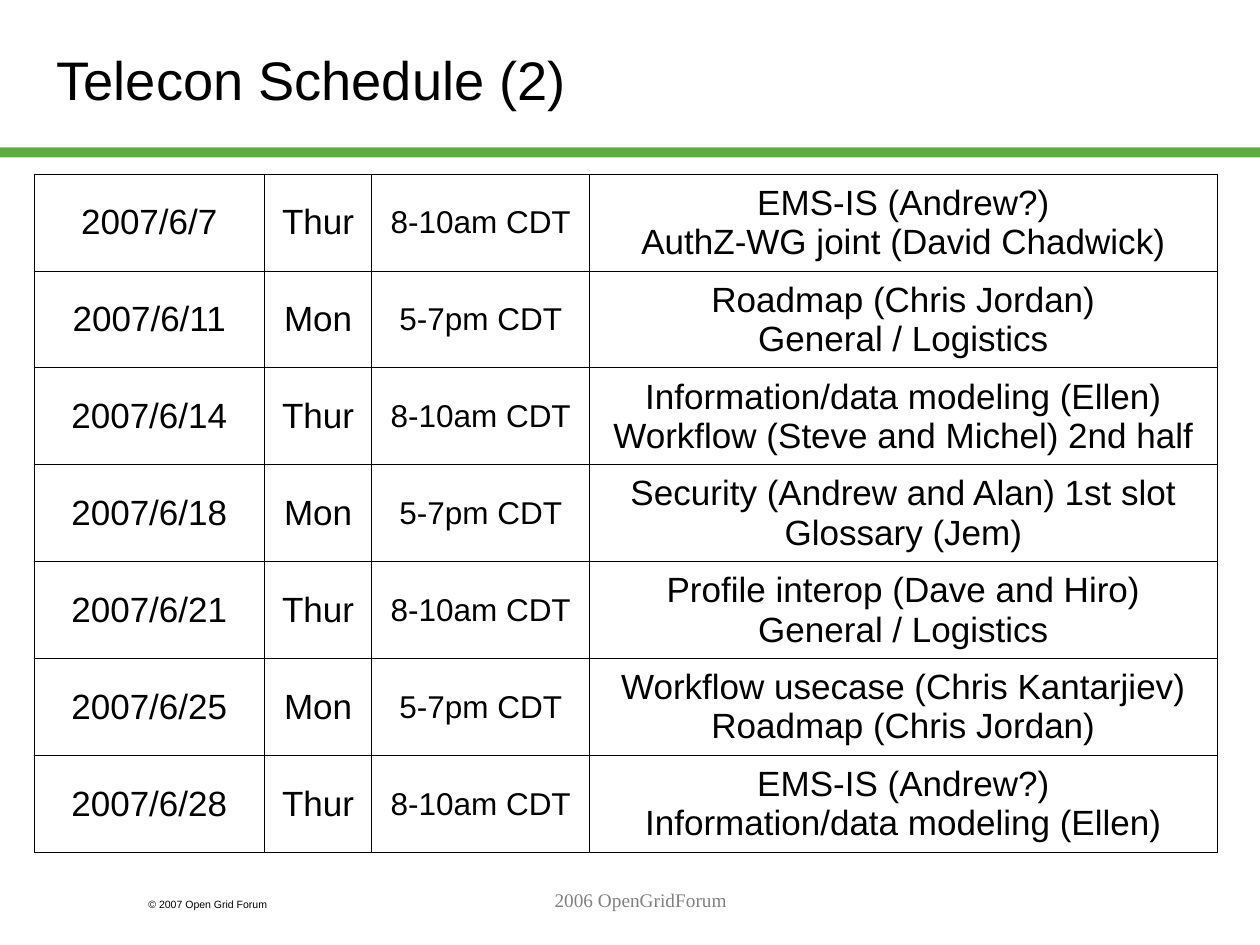
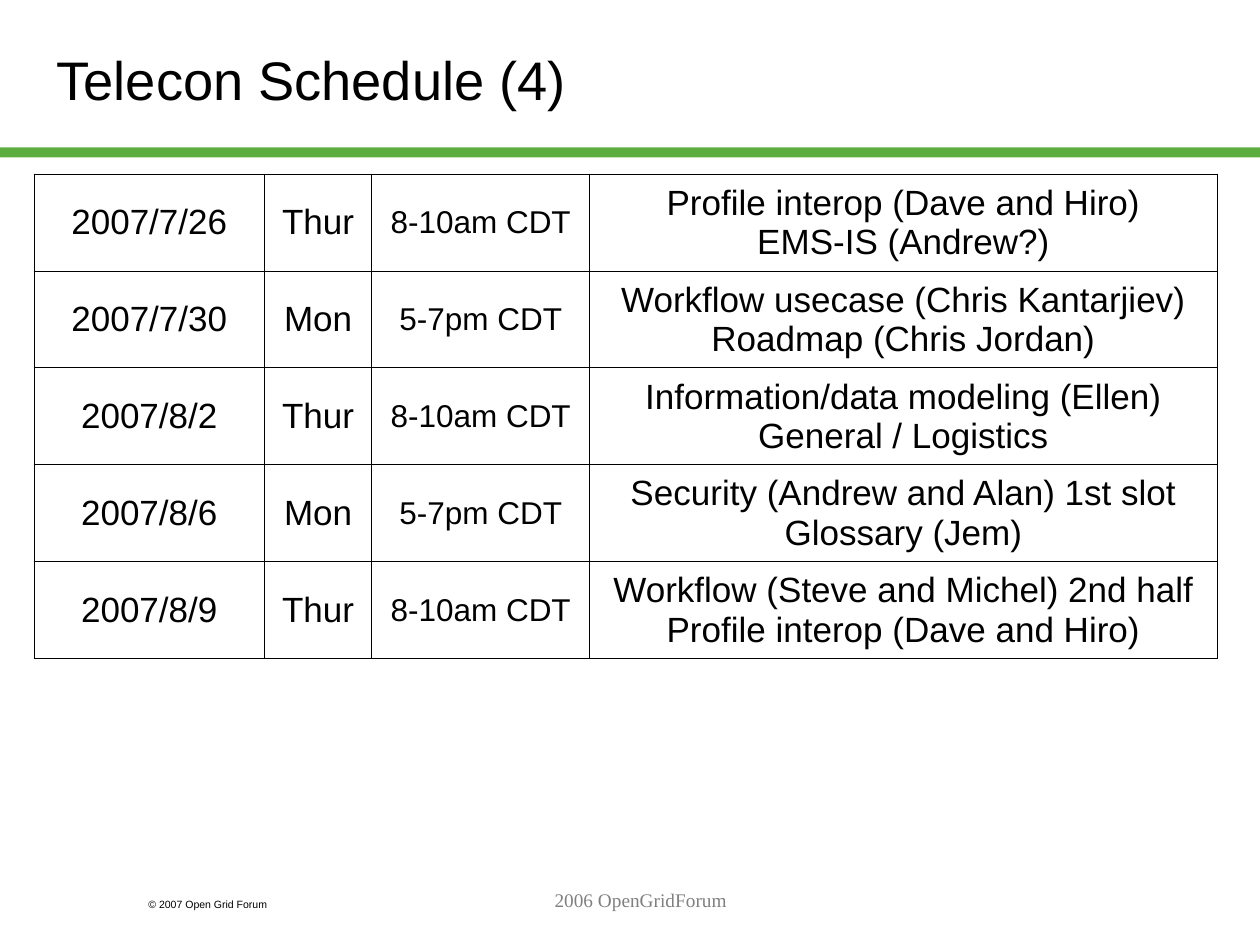
from dataclasses import dataclass

from lxml.etree import SubElement
from pptx import Presentation
from pptx.dml.color import RGBColor
from pptx.enum.shapes import MSO_SHAPE
from pptx.enum.text import MSO_ANCHOR, MSO_AUTO_SIZE, PP_ALIGN
from pptx.oxml.ns import qn
from pptx.util import Inches, Pt

COPYRIGHT = "© 2007 Open Grid Forum"
FOOTER = "2006 OpenGridForum"
SLOTS = {"Thur": "8-10am CDT", "Mon": "5-7pm CDT"}

PROFILE = "Profile interop (Dave and Hiro)"
EMS = "EMS-IS (Andrew?)"
ROADMAP = "Roadmap (Chris Jordan)"
GENERAL = "General / Logistics"
MODELING = "Information/data modeling (Ellen)"
WORKFLOW = "Workflow (Steve and Michel) 2nd half"
USECASE = "Workflow usecase (Chris Kantarjiev)"
SECURITY = "Security (Andrew and Alan) 1st slot"
GLOSSARY = "Glossary (Jem)"
AUTHZ = "AuthZ-WG joint (David Chadwick)"

SCHEDULES = {
    "Telecon Schedule (2)": [
        ("2007/6/7", "Thur", (EMS, AUTHZ)),
        ("2007/6/11", "Mon", (ROADMAP, GENERAL)),
        ("2007/6/14", "Thur", (MODELING, WORKFLOW)),
        ("2007/6/18", "Mon", (SECURITY, GLOSSARY)),
        ("2007/6/21", "Thur", (PROFILE, GENERAL)),
        ("2007/6/25", "Mon", (USECASE, ROADMAP)),
        ("2007/6/28", "Thur", (EMS, MODELING)),
    ],
    "Telecon Schedule (4)": [
        ("2007/7/26", "Thur", (PROFILE, EMS)),
        ("2007/7/30", "Mon", (USECASE, ROADMAP)),
        ("2007/8/2", "Thur", (MODELING, GENERAL)),
        ("2007/8/6", "Mon", (SECURITY, GLOSSARY)),
        ("2007/8/9", "Thur", (WORKFLOW, PROFILE)),
    ],
}


@dataclass(frozen=True)
class Theme:
    sans: str = "Arial"
    serif: str = "Times New Roman"
    ink: str = "000000"
    muted: str = "808080"
    paper: str = "FFFFFF"
    green: str = "5DAD41"
    title_size: float = 31
    topic_size: float = 20
    time_size: float = 18
    footer_size: float = 11
    copyright_size: float = 6
    border: float = 0.45


THEME = Theme()
TITLE_BOX = (0.35, 0.17, 8.9, 0.91)
BAND_BOX = (0, 1.17, 10, 0.08)
COPYRIGHT_BOX = (1.08, 7.08, 1.5, 0.2)
FOOTER_BOX = (2.17, 7, 5.83, 0.5)
TABLE_LEFT, TABLE_TOP, ROW_HEIGHT = 0.27, 1.38, 0.77
COLUMN_WIDTHS = (1.83, 0.85, 1.73, 4.98)
COLUMN_SIZES = (THEME.topic_size, THEME.topic_size, THEME.time_size, THEME.topic_size)


def inches(box):
    return [Inches(length) for length in box]


def apply(target, formats):
    for attribute, value in formats.items():
        setattr(target, attribute, value)


def write(frame, lines, size, align=PP_ALIGN.LEFT, face=THEME.sans, color=THEME.ink):
    frame.text = "\n".join(lines)
    for paragraph in frame.paragraphs:
        paragraph.alignment = align
        apply(paragraph.font, {"name": face, "size": Pt(size)})
        paragraph.font.color.rgb = RGBColor.from_string(color)


def paint(fill, color):
    fill.solid()
    fill.fore_color.rgb = RGBColor.from_string(color)


def add_label(slide, box, text, size, **style):
    label = slide.shapes.add_textbox(*inches(box))
    label.text_frame.word_wrap = True
    write(label.text_frame, [text], size, **style)
    return label


def furnish_layout(layout, slide):
    for placeholder in list(layout.placeholders):
        if placeholder.placeholder_format.idx:
            layout.shapes.element.remove(placeholder.element)
    band = slide.shapes.add_shape(MSO_SHAPE.RECTANGLE, *inches(BAND_BOX))
    band.shadow.inherit = False
    paint(band.fill, THEME.green)
    band.line.fill.background()
    notice = add_label(slide, COPYRIGHT_BOX, COPYRIGHT, THEME.copyright_size)
    for part in (band, notice):
        layout.shapes.element.append(part.element)


def add_title(slide, heading):
    title = slide.shapes.title
    apply(title, dict(zip(("left", "top", "width", "height"), inches(TITLE_BOX))))
    apply(title.text_frame, {
        "auto_size": MSO_AUTO_SIZE.NONE,
        "vertical_anchor": MSO_ANCHOR.MIDDLE,
        "word_wrap": True,
    })
    write(title.text_frame, [heading], THEME.title_size)


def outline(cell):
    properties = cell._tc.get_or_add_tcPr()
    for side in ("a:lnL", "a:lnR", "a:lnT", "a:lnB"):
        edge = SubElement(properties, qn(side), w=str(Pt(THEME.border)))
        SubElement(SubElement(edge, qn("a:solidFill")), qn("a:srgbClr"), val=THEME.ink)


def add_schedule(slide, sessions):
    width, height = sum(COLUMN_WIDTHS), ROW_HEIGHT * len(sessions)
    schedule = slide.shapes.add_table(
        len(sessions), len(COLUMN_WIDTHS),
        *inches((TABLE_LEFT, TABLE_TOP, width, height))).table
    apply(schedule, {"first_row": False, "horz_banding": False})
    for column, column_width in zip(schedule.columns, COLUMN_WIDTHS):
        column.width = Inches(column_width)
    for row, (date, day, topics) in zip(schedule.rows, sessions):
        row.height = Inches(ROW_HEIGHT)
        entries = ([date], [day], [SLOTS[day]], topics)
        for cell, lines, size in zip(row.cells, entries, COLUMN_SIZES):
            outline(cell)
            paint(cell.fill, THEME.paper)
            cell.vertical_anchor = MSO_ANCHOR.MIDDLE
            write(cell.text_frame, lines, size, PP_ALIGN.CENTER)


def main():
    deck = Presentation()
    apply(deck, {"slide_width": Inches(10), "slide_height": Inches(7.5)})
    layout = deck.slide_layouts[5]
    for number, (heading, sessions) in enumerate(SCHEDULES.items()):
        slide = deck.slides.add_slide(layout)
        if number == 0:
            furnish_layout(layout, slide)
        add_title(slide, heading)
        add_schedule(slide, sessions)
        add_label(slide, FOOTER_BOX, FOOTER, THEME.footer_size,
                  align=PP_ALIGN.CENTER, face=THEME.serif, color=THEME.muted)
    deck.save("out.pptx")


if __name__ == "__main__":
    main()
